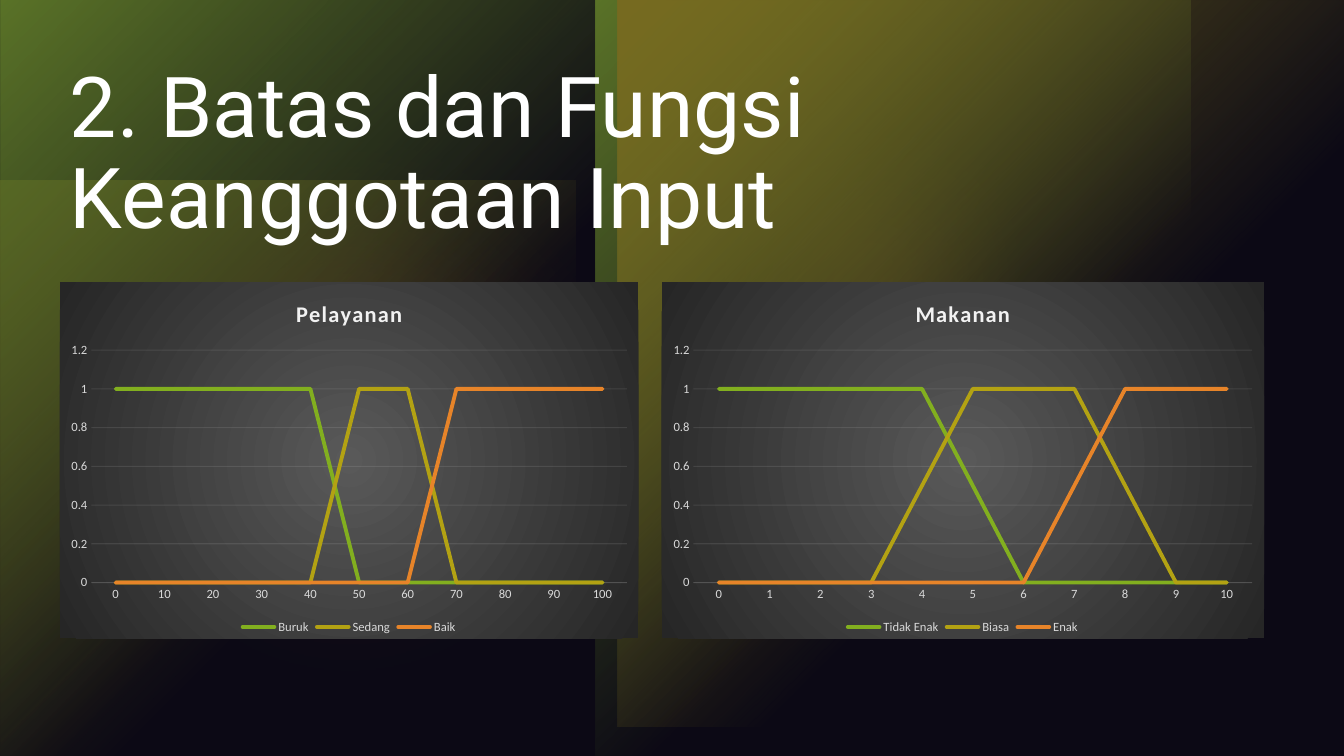
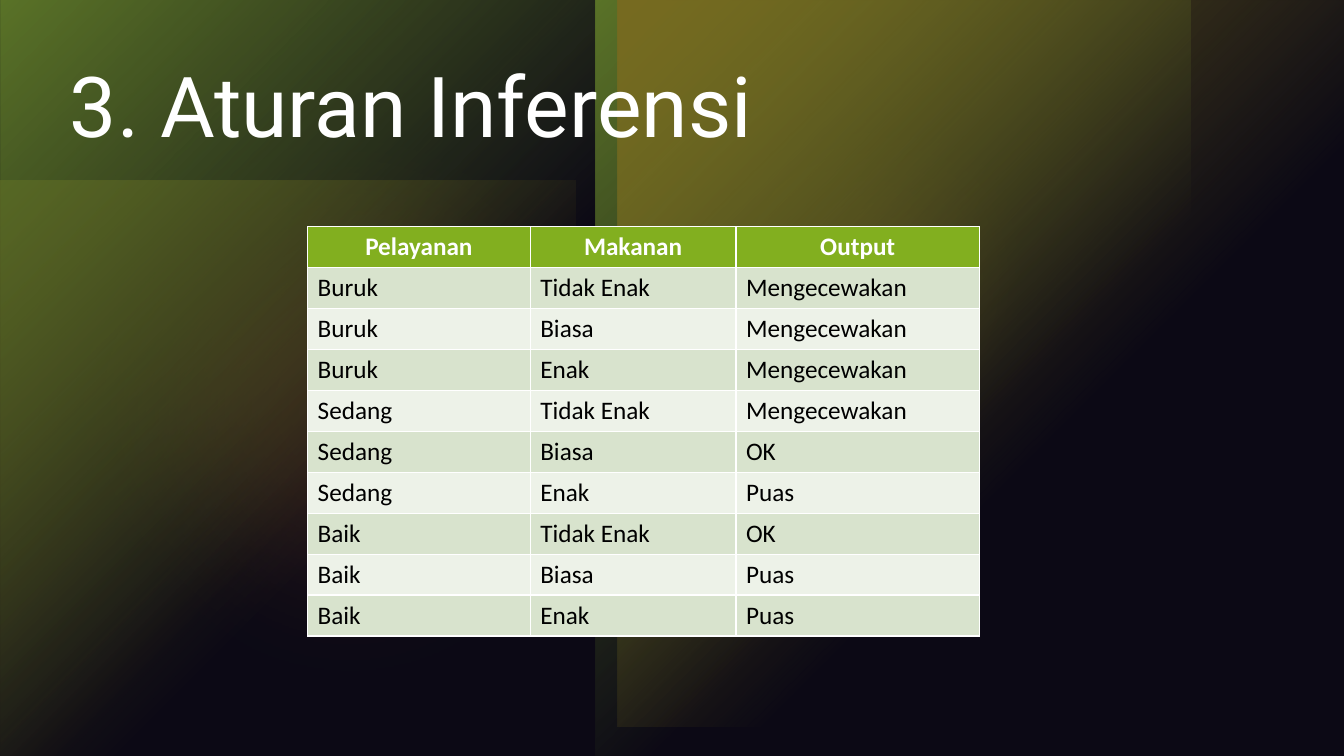
"""Build two slides on fuzzy restaurant ratings: membership charts and inference rules."""
from lxml import etree
from pptx import Presentation
from pptx.chart.data import CategoryChartData
from pptx.dml.color import RGBColor
from pptx.enum.chart import XL_CHART_TYPE, XL_LEGEND_POSITION, XL_TICK_MARK
from pptx.enum.shapes import MSO_SHAPE
from pptx.enum.text import MSO_ANCHOR, MSO_AUTO_SIZE, PP_ALIGN
from pptx.oxml import parse_xml
from pptx.oxml.ns import nsdecls, qn
from pptx.util import Emu, Pt

LINE = XL_CHART_TYPE.LINE
BOTTOM = XL_LEGEND_POSITION.BOTTOM
NO_TICK = XL_TICK_MARK.NONE
RECT, OVAL = MSO_SHAPE.RECTANGLE, MSO_SHAPE.OVAL
TOP = MSO_ANCHOR.TOP
NO_FIT = MSO_AUTO_SIZE.NONE
LEFT, CENTER = PP_ALIGN.LEFT, PP_ALIGN.CENTER

BLACK = RGBColor(0x00, 0x00, 0x00)
WHITE = RGBColor(0xFF, 0xFF, 0xFF)
PALE = RGBColor(0xF2, 0xF2, 0xF2)
SILVER = RGBColor(0xD9, 0xD9, 0xD9)
GRAY = RGBColor(0x59, 0x59, 0x59)
CHARCOAL = RGBColor(0x26, 0x26, 0x26)
GREEN = RGBColor(0x82, 0xAF, 0x1F)
GOLD = RGBColor(0xB3, 0xA2, 0x13)
ORANGE = RGBColor(0xE7, 0x84, 0x29)
INDIGO = RGBColor(0x1E, 0x18, 0x35)
BANDS = (RGBColor(0xD8, 0xE3, 0xCD), RGBColor(0xED, 0xF2, 0xE8))

PX = 9525
WIDTH, HEIGHT = 1280, 720
TITLE_FONT, BODY_FONT = "Roboto", "Calibri"
TITLE_BOX = (57, 57, 1165, 190)
SOFT_EDGE = 133
CORNER = (0, 0, 100, 100)
MIDDLE = (50, 50, 50, 50)

GLOWS = [
    (RECT, (0, 172, 548, 548), GOLD, 60, 0, "v"),
    (OVAL, (604, 41, 453, 453), ORANGE, 60, 0, "v"),
    (OVAL, (0, 54, 666, 666), ORANGE, 20, 0, "v"),
    (RECT, (0, 0, 567, 720), GREEN, 100, 180, "v"),
    (RECT, (567, 0, 567, 720), GREEN, 100, 180, "hv"),
    (RECT, (588, 0, 692, 692), GOLD, 100, 180, "v"),
]
VEIL = ((0, 0, WIDTH, HEIGHT), INDIGO, 40)

CHARTS_TITLE = "2. Batas dan Fungsi Keanggotaan Input"
CHARTS = [
    {
        "title": "Pelayanan",
        "box": (57, 269, 551, 339),
        "categories": range(0, 101, 10),
        "series": {
            "Buruk": (1, 1, 1, 1, 1, 0, 0, 0, 0, 0, 0),
            "Sedang": (0, 0, 0, 0, 0, 1, 1, 0, 0, 0, 0),
            "Baik": (0, 0, 0, 0, 0, 0, 0, 1, 1, 1, 1),
        },
    },
    {
        "title": "Makanan",
        "box": (630, 269, 574, 339),
        "categories": range(11),
        "series": {
            "Tidak Enak": (1, 1, 1, 1, 1, 0.5, 0, 0, 0, 0, 0),
            "Biasa": (0, 0, 0, 0, 0.5, 1, 1, 1, 0.5, 0, 0),
            "Enak": (0, 0, 0, 0, 0, 0, 0, 0.5, 1, 1, 1),
        },
    },
]

RULES_TITLE = "3. Aturan Inferensi"
RULES = [
    ("Pelayanan", "Makanan", "Output"),
    ("Buruk", "Tidak Enak", "Mengecewakan"),
    ("Buruk", "Biasa", "Mengecewakan"),
    ("Buruk", "Enak", "Mengecewakan"),
    ("Sedang", "Tidak Enak", "Mengecewakan"),
    ("Sedang", "Biasa", "OK"),
    ("Sedang", "Enak", "Puas"),
    ("Baik", "Tidak Enak", "OK"),
    ("Baik", "Biasa", "Puas"),
    ("Baik", "Enak", "Puas"),
]
RULES_AT = (293, 216)
RULE_COLUMNS = (212, 196, 232)
RULE_ROW = 39


def emu(lengths):
    return [Emu(length * PX) for length in lengths]


def style_font(font, size, color, name=BODY_FONT, bold=False):
    font.size, font.name, font.bold = Pt(size), name, bold
    font.color.rgb = color


def set_alpha(element, percent):
    for color in element.iter(qn("a:srgbClr")):
        etree.SubElement(color, qn("a:alpha")).set("val", str(percent * 1000))


def radial_fill(stops, focus):
    stop_xml = "".join(
        f'<a:gs pos="{place * 1000}"><a:srgbClr val="{color}">'
        f'<a:alpha val="{alpha * 1000}"/></a:srgbClr></a:gs>'
        for place, color, alpha in stops
    )
    sides = " ".join(f'{side}="{inset * 1000}"' for side, inset in zip("ltrb", focus))
    return parse_xml(
        f'<a:gradFill {nsdecls("a")} rotWithShape="1"><a:gsLst>{stop_xml}</a:gsLst>'
        f'<a:path path="circle"><a:fillToRect {sides}/></a:path></a:gradFill>'
    )


def add_tint(page, kind, box, color, alpha):
    shape = page.shapes.add_shape(kind, *emu(box))
    shape.shadow.inherit = False
    shape.line.fill.background()
    shape.fill.solid()
    shape.fill.fore_color.rgb = color
    set_alpha(shape.element.spPr, alpha)
    return shape


def add_glow(page, kind, box, color, alpha, rotation, flips):
    shape = add_tint(page, kind, box, color, alpha)
    shape.rotation = rotation
    properties = shape.element.spPr
    for flip in flips:
        properties.find(qn("a:xfrm")).set(f"flip{flip.upper()}", "1")
    if kind == OVAL:
        edge = etree.SubElement(properties.find(qn("a:effectLst")), qn("a:softEdge"))
        edge.set("rad", str(SOFT_EDGE * PX))
    else:
        fill = radial_fill([(0, color, alpha), (60, color, 0)], CORNER)
        properties.replace(properties.find(qn("a:solidFill")), fill)
    return shape


def decorate_layout(layout, page):
    layout.background.fill.solid()
    layout.background.fill.fore_color.rgb = BLACK
    title = layout.placeholders[0]
    title.left, title.top, title.width, title.height = emu(TITLE_BOX)
    backdrop = [add_glow(page, *glow) for glow in GLOWS]
    box, color, alpha = VEIL
    backdrop.append(add_tint(page, RECT, box, color, alpha))
    for index, shape in enumerate(backdrop):
        shape.element.nvSpPr.cNvPr.set("id", str(100 + index))
        layout.shapes.element.insert(2 + index, shape.element)


def add_titled_page(deck, layout, text):
    page = deck.slides.add_slide(layout)
    frame = page.shapes.title.text_frame
    frame.text = text
    frame.word_wrap, frame.auto_size, frame.vertical_anchor = True, NO_FIT, TOP
    para = frame.paragraphs[0]
    para.alignment, para.line_spacing = LEFT, 0.9
    style_font(para.font, 60, WHITE, TITLE_FONT)
    return page


def style_faint_line(line):
    line.width = Pt(0.75)
    line.color.rgb = PALE
    set_alpha(line.fill._xPr, 10)


def fill_chart(chart):
    properties = parse_xml(f'<c:spPr {nsdecls("c", "a")}><a:ln><a:noFill/></a:ln></c:spPr>')
    properties.insert(0, radial_fill([(0, GRAY, 100), (100, CHARCOAL, 100)], MIDDLE))
    chart.element.find(qn("c:chart")).addnext(properties)


def add_membership_chart(page, content):
    data = CategoryChartData()
    data.categories = [str(category) for category in content["categories"]]
    for name, values in content["series"].items():
        data.add_series(name, values)
    chart = page.shapes.add_chart(LINE, *emu(content["box"]), data).chart
    style_font(chart.font, 10, WHITE)
    fill_chart(chart)

    chart.has_title = True
    chart.chart_title.include_in_layout = False
    para = chart.chart_title.text_frame.paragraphs[0]
    span = para.add_run()
    span.text = content["title"]
    style_font(span.font, 16, PALE, bold=True)
    span.font._element.set("spc", "100")

    chart.has_legend = True
    chart.legend.position = BOTTOM
    chart.legend.include_in_layout = False
    style_font(chart.legend.font, 9, SILVER)

    for axis in (chart.category_axis, chart.value_axis):
        axis.major_tick_mark = axis.minor_tick_mark = NO_TICK
        style_font(axis.tick_labels.font, 9, SILVER)
    style_faint_line(chart.category_axis.format.line)
    values_axis = chart.value_axis
    values_axis.minimum_scale, values_axis.maximum_scale, values_axis.major_unit = 0, 1.2, 0.2
    values_axis.format.line.fill.background()
    style_faint_line(values_axis.major_gridlines.format.line)

    plot = chart.plots[0]
    plot.vary_by_categories = False
    for series, color in zip(plot.series, (GREEN, GOLD, ORANGE)):
        series.smooth = False
        series.format.line.width = Pt(2.75)
        series.format.line.color.rgb = color
        series.format.line.fill._xPr.set("cap", "rnd")


def add_rules_table(page):
    size = (sum(RULE_COLUMNS), RULE_ROW * len(RULES))
    table = page.shapes.add_table(len(RULES), len(RULE_COLUMNS), *emu(RULES_AT + size)).table
    for column, width in zip(table.columns, emu(RULE_COLUMNS)):
        column.width = width
    for row_index, words in enumerate(RULES):
        header = row_index == 0
        for column_index, word in enumerate(words):
            cell = table.cell(row_index, column_index)
            cell.text = word
            cell.fill.solid()
            cell.fill.fore_color.rgb = GREEN if header else BANDS[(row_index - 1) % 2]
            para = cell.text_frame.paragraphs[0]
            para.alignment = CENTER if header else LEFT
            style_font(para.font, 18, WHITE if header else BLACK, bold=header)


def main():
    deck = Presentation()
    deck.slide_width, deck.slide_height = emu((WIDTH, HEIGHT))
    layout = deck.slide_layouts[5]

    page = add_titled_page(deck, layout, CHARTS_TITLE)
    decorate_layout(layout, page)
    for content in CHARTS:
        add_membership_chart(page, content)

    page = add_titled_page(deck, layout, RULES_TITLE)
    add_rules_table(page)
    deck.save("out.pptx")


if __name__ == "__main__":
    main()
